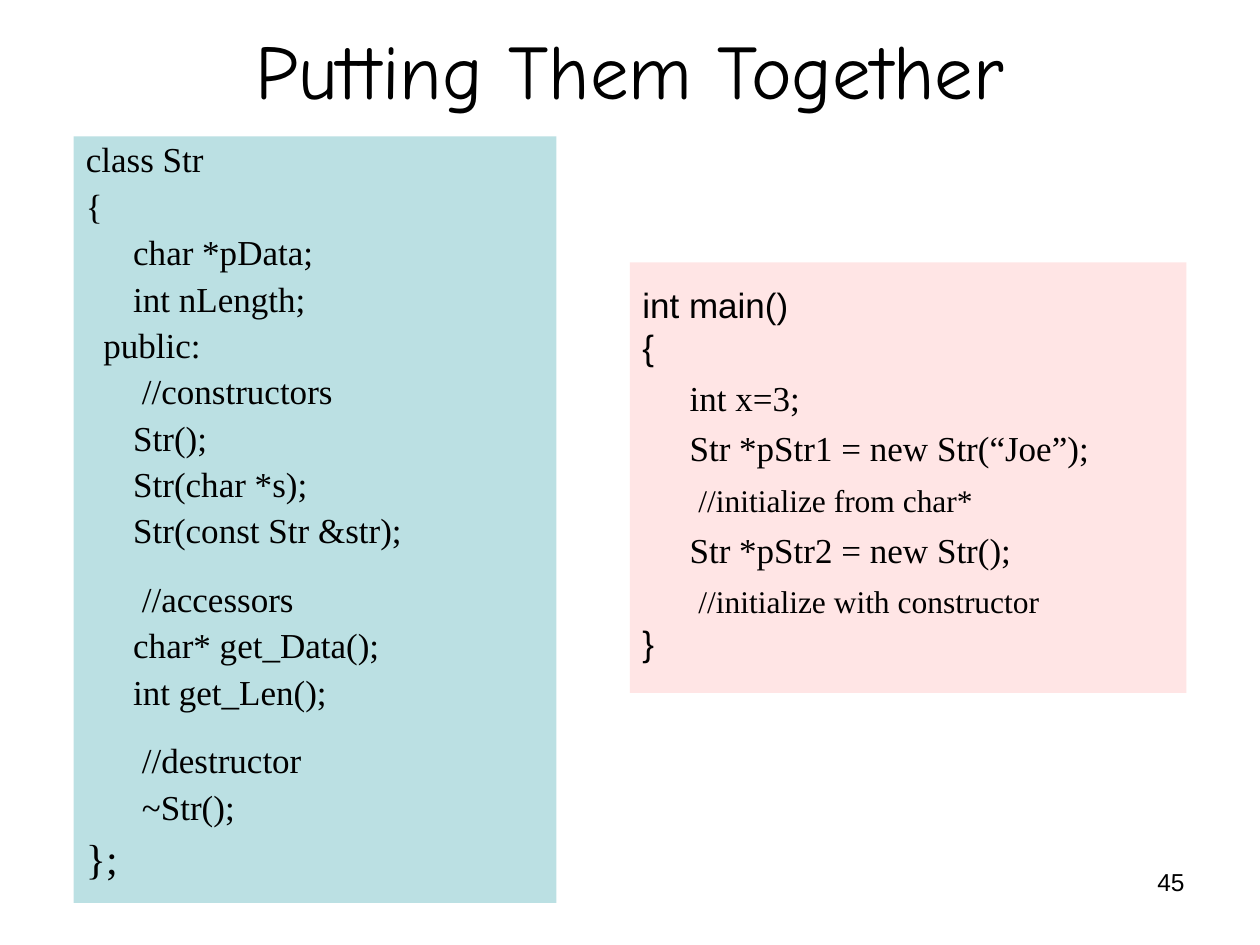
from dataclasses import dataclass

from pptx import Presentation
from pptx.dml.color import RGBColor as RGB
from pptx.enum.shapes import MSO_SHAPE as SHAPE
from pptx.enum.text import MSO_ANCHOR as ANCHOR, PP_ALIGN as ALIGN
from pptx.util import Emu, Pt

PX = 7620  # EMU per px, 120 px to the inch


@dataclass(frozen=True)
class Theme:
    ink: str = "000000"
    class_fill: str = "BBE0E3"
    main_fill: str = "FFE5E5"
    title_font: str = "Comic Neue"
    sans: str = "Arial"
    serif: str = "Times New Roman"
    title: int = 44
    brace: int = 24
    code: int = 20
    comment: int = 18
    number: int = 14
    gap: float = 4.9
    section_gap: float = 17.6


def px(n):
    return Emu(n * PX)


def add_run(p, text, *, size, font, color):
    r = p.add_run()
    r.text = text
    r.font.size = Pt(size)
    r.font.name = font
    r.font.color.rgb = RGB.from_string(color)


class Deck:
    def __init__(self, theme):
        self.theme = theme
        self.prs = Presentation()
        self.prs.slide_width, self.prs.slide_height = px(1200), px(900)
        self.slide = None

    def new_slide(self):
        self.slide = self.prs.slides.add_slide(self.prs.slide_layouts[6])

    def label(self, text, box, *, size, font, align, anchor=ANCHOR.TOP):
        sp = self.slide.shapes.add_textbox(*map(px, box))
        tf = sp.text_frame
        tf.word_wrap = True
        tf.vertical_anchor = anchor
        p = tf.paragraphs[0]
        p.alignment = align
        add_run(p, text, size=size, font=font, color=self.theme.ink)

    def code_panel(self, lines, box, *, fill, top):
        """Filled box of code; each line is (text, format overrides)."""
        sp = self.slide.shapes.add_shape(SHAPE.RECTANGLE, *map(px, box))
        sp.shadow.inherit = False
        sp.fill.solid()
        sp.fill.fore_color.rgb = RGB.from_string(fill)
        sp.line.fill.background()
        tf = sp.text_frame
        tf.word_wrap = True
        tf.vertical_anchor = ANCHOR.TOP
        tf.margin_top = px(top)
        for i, (text, style) in enumerate(lines):
            p = tf.paragraphs[0] if i == 0 else tf.add_paragraph()
            self.code_line(p, text, first=i == 0, **style)

    def code_line(self, p, text, *, first, font=None, size=None,
                  comment=None, spacing=0.9, before=None):
        """Hanging-indent line; comment is the size of any text from // on."""
        t = self.theme
        size = size or t.code
        pPr = p._p.get_or_add_pPr()
        pPr.set("marL", str(px(45)))
        pPr.set("indent", str(px(-45)))
        p.alignment = ALIGN.LEFT
        p.line_spacing = spacing
        p.space_before = Pt(0 if first else before or t.gap)
        code, slashes, note = text.partition("//")
        for part, part_size in ((code, size), (slashes + note, comment or size)):
            if part:
                add_run(p, part, size=part_size, font=font or t.serif, color=t.ink)


def main():
    t = Theme()
    deck = Deck(t)
    deck.new_slide()
    deck.label("45", (860, 820, 280, 62), size=t.number, font=t.sans,
               align=ALIGN.RIGHT)
    deck.label("Putting Them Together", (0, 20, 1200, 90), size=t.title,
               font=t.title_font, align=ALIGN.CENTER, anchor=ANCHOR.MIDDLE)

    section = {"before": t.section_gap}
    class_lines = [
        ("class Str", {}),
        ("{", {}),
        ("\tchar *pData;", {}),
        ("\tint nLength;", {}),
        ("  public:", {}),
        ("\t //constructors", {}),
        ("\tStr();", {}),
        ("\tStr(char *s);", {}),
        ("\tStr(const Str &str);", {}),
        ("\t //accessors", section),
        ("\tchar* get_Data();", {}),
        ("\tint get_Len();", {}),
        ("\t //destructor", section),
        ("\t ~Str();", {}),
        ("};", {"size": t.brace, "before": 5.8}),
    ]
    deck.code_panel(class_lines, (70, 130, 460, 730), fill=t.class_fill, top=6)

    outer = {"font": t.sans, "spacing": 0.8}
    body = {"spacing": 1.0, "comment": t.comment}
    main_lines = [
        ("int main()", outer),
        ("{", outer),
        ("\tint x=3;", body),
        ("\tStr *pStr1 = new Str(“Joe”);", body),
        ("\t //initialize from char*", body),
        ("\tStr *pStr2 = new Str();", body),
        ("\t //initialize with constructor", body),
        ("}", outer),
    ]
    deck.code_panel(main_lines, (600, 250, 530, 410), fill=t.main_fill, top=28)

    deck.prs.save("out.pptx")


if __name__ == "__main__":
    main()
